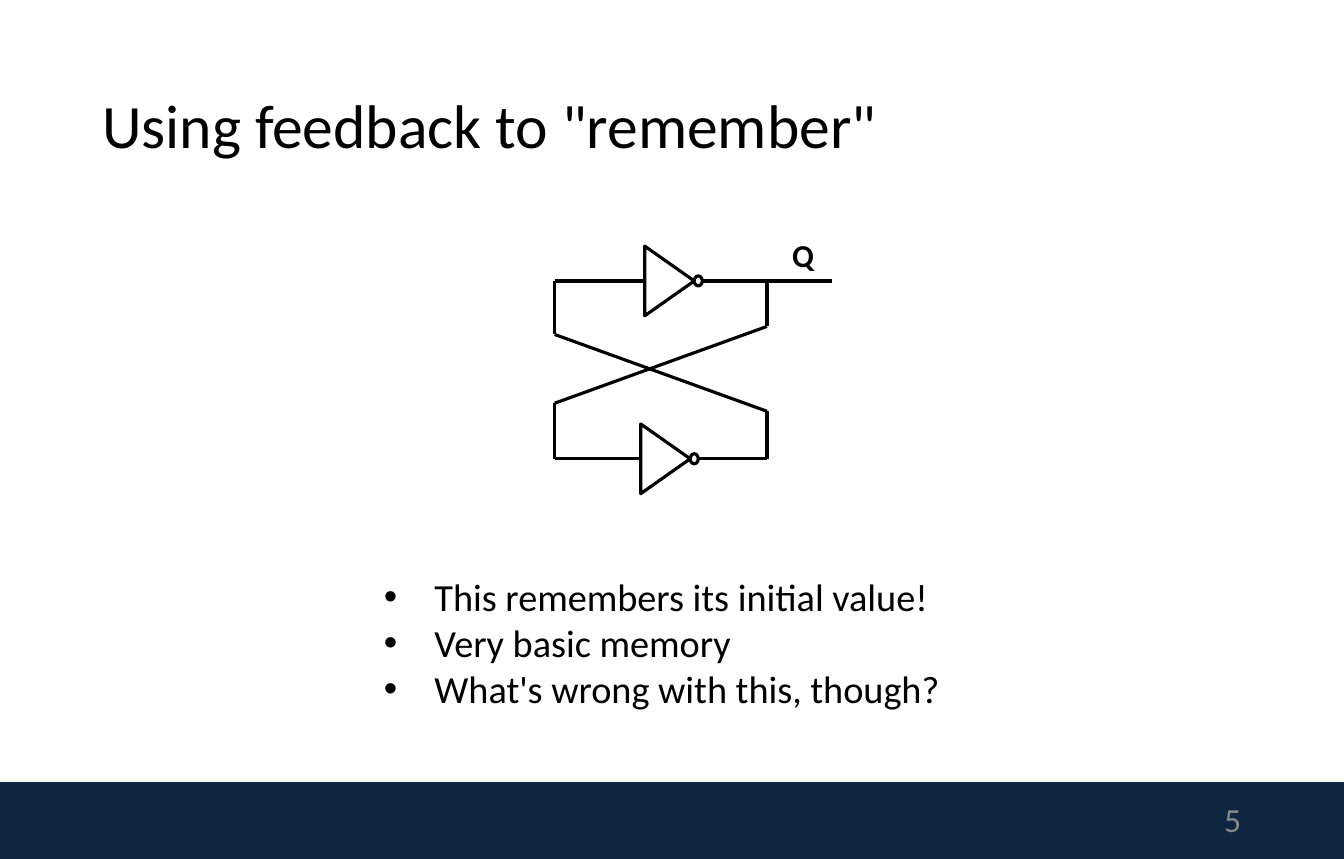
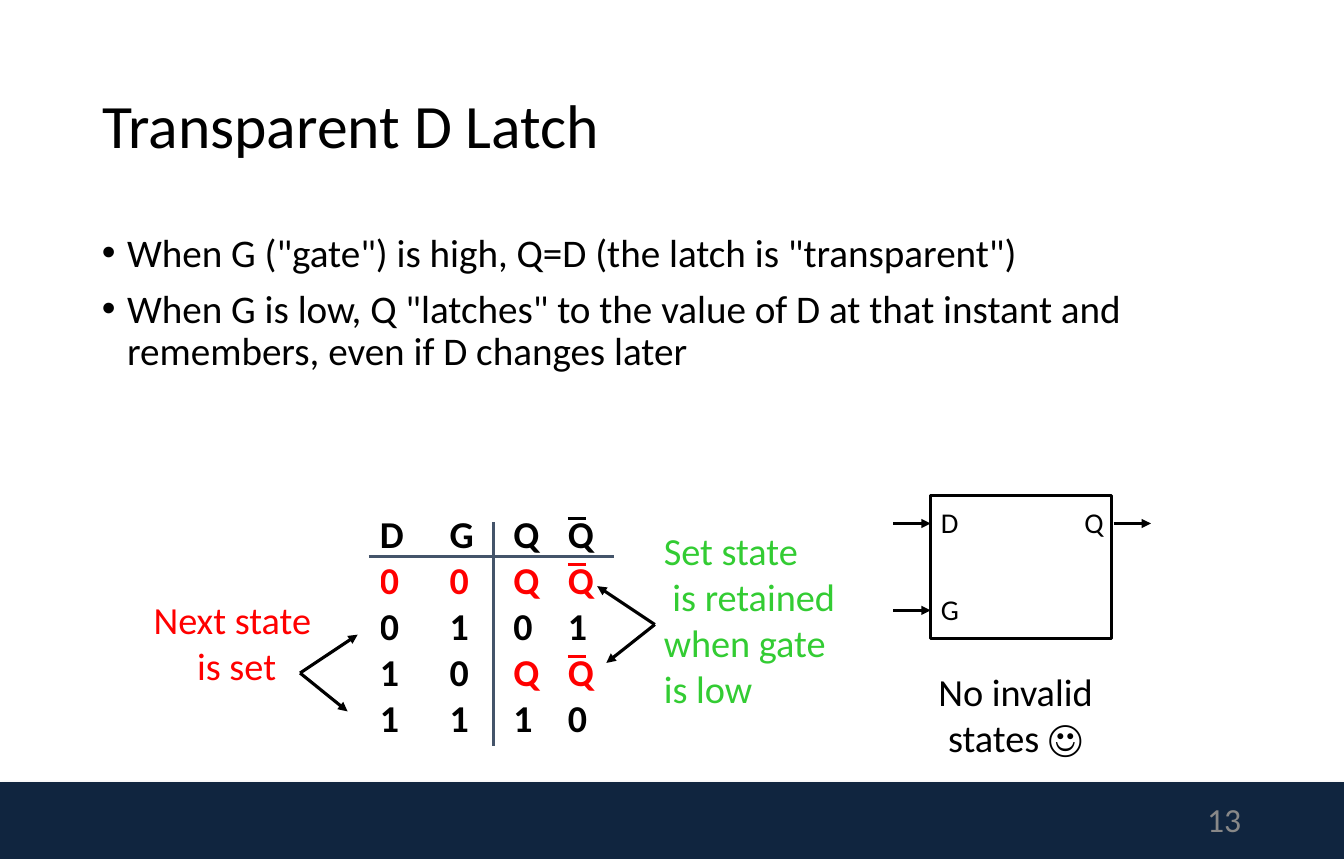
from itertools import pairwise

from lxml.etree import SubElement
from pptx import Presentation
from pptx.dml.color import RGBColor
from pptx.enum.shapes import MSO_CONNECTOR as LINE, MSO_SHAPE as SHAPE
from pptx.enum.text import MSO_ANCHOR as ANCHOR, PP_ALIGN as ALIGN
from pptx.oxml.ns import qn
from pptx.util import Inches, Pt

COLS, ROWS, CELL = 133, 85, 0.1
FONT = "Calibri"
COLORS = {
    "black": "000000", "band": "10253F", "number": "888888", "shade": "808080",
    "red": "FF0000", "green": "33CC33", "rule": "44546A",
}
NOTE, STROKE = 27.3, 2.25


def grid(*cells):
    """Turn grid columns or rows into lengths."""
    return [Inches(c * CELL) for c in cells]


def rgb(name):
    """Look up a palette colour."""
    return RGBColor.from_string(COLORS[name])


def add_run(p, text, size, color="black", bold=False):
    """Add one formatted run to a paragraph."""
    r = p.add_run()
    r.text = text
    r.font.name, r.font.size, r.font.bold = FONT, Pt(size), bold
    r.font.color.rgb = rgb(color)


def add_bullet(p, indent):
    """Give a paragraph a hanging round bullet."""
    pPr = p._p.get_or_add_pPr()
    pPr.set("marL", str(Inches(indent)))
    pPr.set("indent", str(-Inches(indent)))
    SubElement(pPr, qn("a:buFont"), typeface="Arial")
    SubElement(pPr, qn("a:buChar"), char="•")


def add_text(slide, box, lines, size=NOTE, color="black", bold=False, align=ALIGN.LEFT,
             anchor=ANCHOR.TOP, inset=(1.1, 0.6), indent=0, spacing=None, before=0):
    """Place a text box with one paragraph per line."""
    tf = slide.shapes.add_textbox(*grid(*box)).text_frame
    tf.word_wrap, tf.vertical_anchor = True, anchor
    tf.margin_left, tf.margin_top = tf.margin_right, tf.margin_bottom = grid(*inset)
    for i, line in enumerate(lines):
        p = tf.add_paragraph() if i else tf.paragraphs[0]
        p.alignment = align
        if spacing:
            p.line_spacing = spacing
        if before and i:
            p.space_before = Pt(before)
        if indent:
            add_bullet(p, indent)
        add_run(p, line, size, color, bold)


def add_wire(slide, points, color="black", arrow=False):
    """Join successive grid points with straight lines."""
    for start, end in pairwise(points):
        c = slide.shapes.add_connector(LINE.STRAIGHT, *grid(*start, *end))
        c.line.width, c.line.color.rgb = Pt(STROKE), rgb(color)
        SubElement(c._element.spPr, qn("a:effectLst"))
        if arrow:
            SubElement(c.line._get_or_add_ln(), qn("a:tailEnd"), type="triangle")


def outline(sp):
    """Leave a shape with a black outline only."""
    sp.shadow.inherit = False
    sp.fill.background()
    sp.line.width, sp.line.color.rgb = Pt(STROKE), rgb("black")


def add_band(slide, number):
    """Place the shaded footer band and the slide number."""
    top = 77.4
    sp = slide.shapes.add_shape(SHAPE.RECTANGLE, *grid(0, top, COLS, ROWS - top))
    sp.shadow.inherit = False
    sp.fill.solid()
    sp.fill.fore_color.rgb = rgb("band")
    sp.line.fill.background()
    effects = sp._element.spPr.find(qn("a:effectLst"))
    shadow = SubElement(effects, qn("a:outerShdw"), blurRad=str(Pt(3.1)),
                        dist=str(Pt(1.8)), dir="5400000", rotWithShape="0")
    shade = SubElement(shadow, qn("a:srgbClr"), val=COLORS["shade"])
    SubElement(shade, qn("a:alpha"), val="35000")
    add_text(slide, (93.9, top + 1.4, 29.9, 4.5), [str(number)], 24, "number",
             align=ALIGN.RIGHT, anchor=ANCHOR.MIDDLE, inset=(1, 0.5))


def new_slide(prs, title, number):
    """Start a slide with its title and footer."""
    slide = prs.slides.add_slide(prs.slide_layouts[5])
    add_band(slide, number)
    sp = slide.shapes.title
    sp.left, sp.top, sp.width, sp.height = grid(9.1, 4.5, 114.7, 16.4)
    tf = sp.text_frame
    tf.vertical_anchor = ANCHOR.MIDDLE
    p = tf.paragraphs[0]
    p.alignment, p.line_spacing = ALIGN.LEFT, 0.9
    add_run(p, title, 43.9)
    return slide


def add_inverter(slide, x, y):
    """Draw a gate whose input is at x, y and return its output column."""
    w, half, bubble_w, bubble_h = 4.9, 3.45, 0.8, 1
    points = [grid(*pt) for pt in ((x + w, y), (x, y + half), (x, y - half))]
    fb = slide.shapes.build_freeform(*points[0])
    fb.add_line_segments(points[1:], close=True)
    outline(fb.convert_to_shape())
    outline(slide.shapes.add_shape(
        SHAPE.OVAL, *grid(x + w, y - bubble_h / 2, bubble_w, bubble_h)))
    return x + w + bubble_w


def add_feedback_loop(slide, x, y):
    """Draw two cross-coupled inverters, the upper input wire starting at x, y."""
    right, low = x + 21, y + 17.6
    upper_in, lower_in = x + 8.9, x + 8.5
    upper_out = add_inverter(slide, upper_in, y)
    lower_out = add_inverter(slide, lower_in, low)
    add_wire(slide, [(upper_out, y), (x + 27.4, y)])
    add_wire(slide, [(upper_in, y), (x, y), (x, y + 5.3), (right, y + 12.9),
                     (right, low), (lower_out, low)])
    add_wire(slide, [(right, y), (right, y + 4.5), (x, y + 12.1),
                     (x, low), (lower_in, low)])
    add_text(slide, (x + 22.4, y - 5.1, 4.5, 5), ["Q"], 22.7, bold=True)


def add_truth_table(slide, x, y):
    """Place the latch truth table with its rules and overbars."""
    widths, row_h = (6.9, 6.3, 5.4, 4.5), 4.55
    rows = ("DGQQ", "00QQ", "0101", "10QQ", "1110")
    table = slide.shapes.add_table(
        len(rows), len(widths), *grid(x, y, sum(widths), row_h * len(rows))).table
    table.first_row = table.horz_banding = False
    for col, w in zip(table.columns, widths):
        col.width = grid(w)[0]
    for i, row in enumerate(rows):
        for j, value in enumerate(row):
            cell = table.cell(i, j)
            cell.fill.background()
            cell.margin_left = cell.margin_right = cell.margin_top = cell.margin_bottom = 0
            red = i == 1 or (i and value == "Q")
            add_run(cell.text_frame.paragraphs[0], value, 27,
                    "red" if red else "black", True)
        if row[-1] == "Q":
            bar_x, bar_y = x + sum(widths[:-1]), y + i * row_h + 0.6
            add_wire(slide, [(bar_x, bar_y), (bar_x + 1.8, bar_y)],
                     "red" if i else "black")
    add_wire(slide, [(x - 1.1, y + 4.4), (x + 23.2, y + 4.4)], "rule")
    add_wire(slide, [(x + 11.2, y + 1), (x + 11.2, y + 23.1)], "rule")


def add_arrow_pair(slide, start, ends):
    """Point two arrows from one start to its ends."""
    for end in ends:
        add_wire(slide, [start, end], arrow=True)


def add_latch_symbol(slide, x, y):
    """Draw the latch block with its labelled pins."""
    w, h, lead, upper, lower = 17.9, 14.2, 3.7, 2.8, 11.4
    outline(slide.shapes.add_shape(SHAPE.RECTANGLE, *grid(x, y, w, h)))
    pins = (("D", -0.1, upper, -lead), ("G", -0.1, lower, -lead), ("Q", 14.1, upper, w + 0.2))
    for name, label_x, pin_y, wire_x in pins:
        add_text(slide, (x + label_x, y + pin_y - 2.4, 4.2, 4.6), [name], 20.4)
        add_wire(slide, [(x + wire_x, y + pin_y), (x + wire_x + lead, y + pin_y)], arrow=True)


def build_feedback(prs):
    """Build the slide on feedback as memory."""
    slide = new_slide(prs, 'Using feedback to "remember"', 5)
    add_feedback_loop(slide, 54.9, 27.8)
    add_text(slide, (36.9, 56.1, 65.7, 16.2), [
        "This remembers its initial value!", "Very basic memory",
        "What's wrong with this, though?"], indent=0.5)


def build_latch(prs):
    """Build the slide on the transparent latch."""
    slide = new_slide(prs, "Transparent D Latch", 13)
    add_text(slide, (9.1, 22.6, 114.7, 15.9), [
        'When G ("gate") is high, Q=D (the latch is "transparent")',
        'When G is low, Q "latches" to the value of D at that instant and '
        "remembers, even if D changes later"],
        27.9, inset=(1, 0.5), indent=0.25, spacing=0.9, before=10)
    add_truth_table(slide, 37.6, 50.7)
    add_text(slide, (14, 58.4, 18, 10.3), ["Next state", " is set"],
             color="red", align=ALIGN.CENTER)
    add_arrow_pair(slide, (29.7, 66.6), ((35.4, 62.8), (34.4, 70.4)))
    add_text(slide, (64.6, 51.6, 19.4, 10.3),
             ["Set state", " is retained", "when gate is low"], color="green")
    add_arrow_pair(slide, (64.8, 61.8), ((60, 65.6), (59.1, 58)))
    add_latch_symbol(slide, 92.1, 49)
    add_text(slide, (91.5, 65.5, 18, 10.3), ["No invalid states ☺"], align=ALIGN.CENTER)


def main():
    """Build and save the presentation."""
    prs = Presentation()
    prs.slide_width, prs.slide_height = grid(COLS, ROWS)
    build_feedback(prs)
    build_latch(prs)
    prs.save("out.pptx")


if __name__ == "__main__":
    main()
